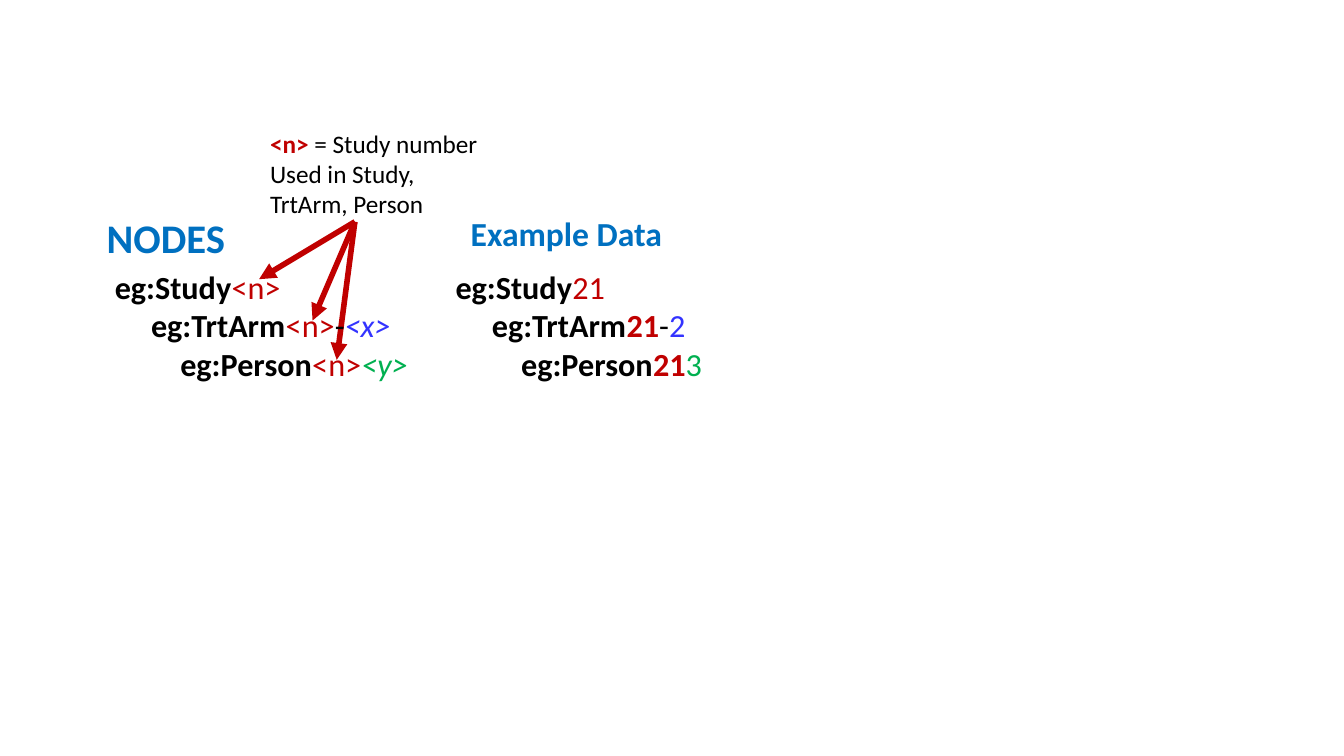
from dataclasses import dataclass

from lxml.etree import SubElement
from pptx import Presentation
from pptx.dml.color import RGBColor
from pptx.enum.shapes import MSO_CONNECTOR
from pptx.oxml.ns import qn
from pptx.util import Inches, Pt


@dataclass(frozen=True)
class Theme:
    font: str = "Calibri"
    black: str = "000000"
    red: str = "C00000"
    heading_blue: str = "0070C0"
    arm_blue: str = "3333FF"
    person_green: str = "00B050"
    note_size: int = 18
    node_size: int = 23
    example_size: int = 24
    nodes_size: int = 29
    arrow_width: int = 4


theme = Theme()
prs = Presentation()
prs.slide_width, prs.slide_height = Inches(13.33), Inches(7.5)
slide = prs.slides.add_slide(prs.slide_layouts[6])


def add_text(lines, left, top, width, height, size, indents=(), wrap=True):
    """Each line is a list of (text, colour, style); style holds b and/or i."""
    box = slide.shapes.add_textbox(Inches(left), Inches(top), Inches(width), Inches(height))
    frame = box.text_frame
    frame.word_wrap = wrap
    for number, line in enumerate(lines):
        paragraph = frame.add_paragraph() if number else frame.paragraphs[0]
        if indents:
            paragraph._p.get_or_add_pPr().set("marL", str(Inches(indents[number])))
        for text, colour, style in line:
            run = paragraph.add_run()
            run.text = text
            run.font.name = theme.font
            run.font.size = Pt(size)
            run.font.bold = "b" in style
            run.font.italic = "i" in style
            run.font.color.rgb = RGBColor.from_string(colour)


# Arrows from the study number note to each <n>
note_tip = (3.52, 2.2)
for target in [(3.1, 3.18), (2.57, 2.77), (3.34, 3.57)]:
    arrow = slide.shapes.add_connector(
        MSO_CONNECTOR.STRAIGHT, *[Inches(v) for v in note_tip + target])
    arrow.line.color.rgb = RGBColor.from_string(theme.red)
    arrow.line.width = Pt(theme.arrow_width)
    SubElement(arrow.line._get_or_add_ln(), qn("a:tailEnd"), type="triangle")
    SubElement(arrow._element.spPr, qn("a:effectLst"))

# Study number note
add_text([[("<n> ", theme.red, "b"), ("= Study number", theme.black, "")],
          [("Used in Study, ", theme.black, "")],
          [("TrtArm, Person", theme.black, "")]],
         2.58, 1.22, 2.28, 1.01, theme.note_size, wrap=False)

# Headings
add_text([[("NODES", theme.heading_blue, "b")]],
         0.96, 2.06, 1.39, 0.59, theme.nodes_size, wrap=False)
add_text([[("Example Data", theme.heading_blue, "b")]],
         4.57, 2.06, 2.12, 0.5, theme.example_size, wrap=False)

# Node patterns and their example values: left, study, study style, arm, person, id style
columns = [(1.04, "<n>", "", "<x>", "<y>", "i"),
           (4.42, "21", "b", "2", "3", "")]
for left, study, study_style, arm, person, id_style in columns:
    add_text([[("eg:Study", theme.black, "b"), (study, theme.red, "")],
              [("eg:TrtArm", theme.black, "b"), (study, theme.red, study_style),
               ("-", theme.black, ""), (arm, theme.arm_blue, id_style)],
              [("eg:Person", theme.black, "b"), (study, theme.red, study_style),
               (person, theme.person_green, id_style)]],
             left, 2.6, 3.64, 1.65, theme.node_size, indents=(0, 0.36, 0.65))

prs.save("out.pptx")
